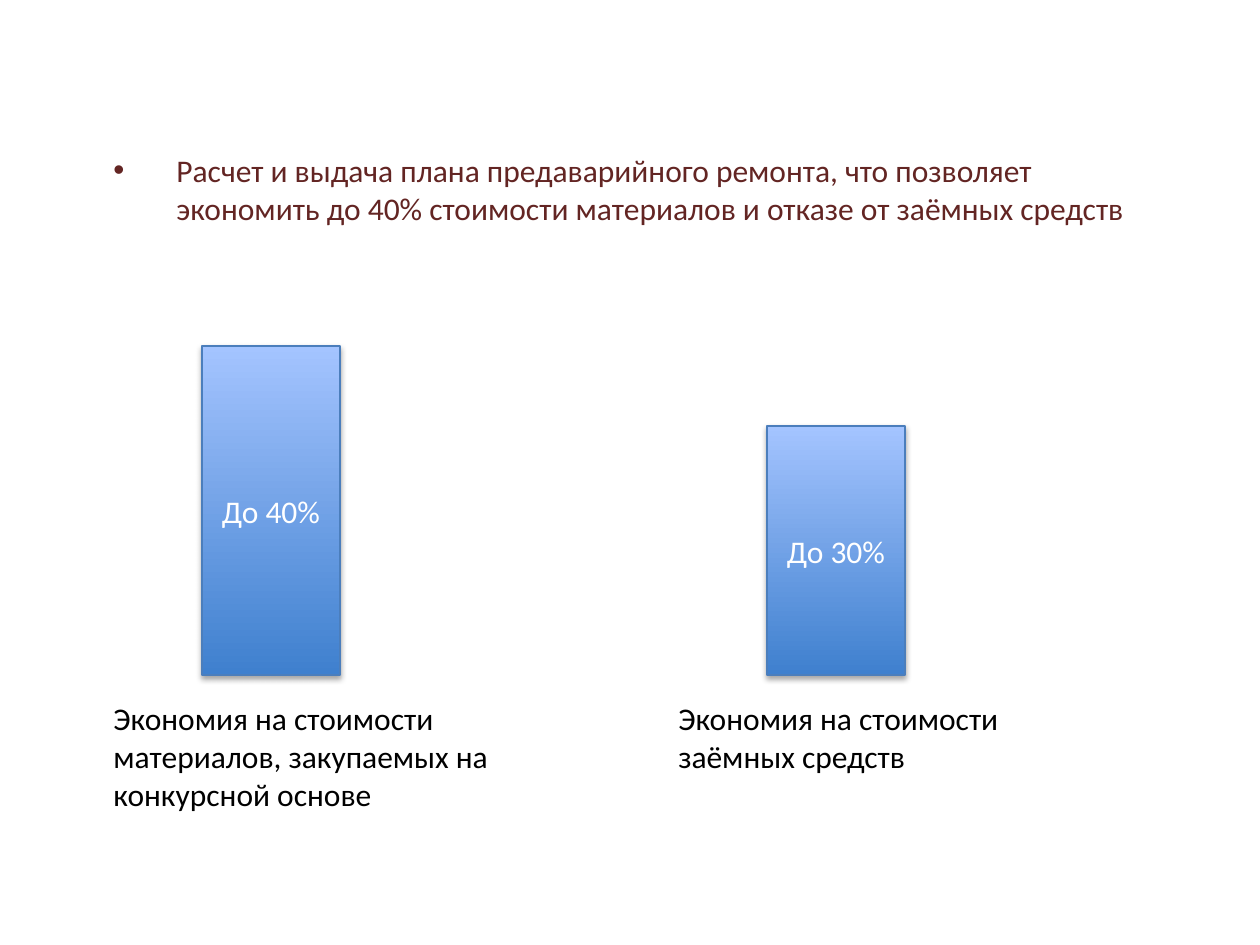
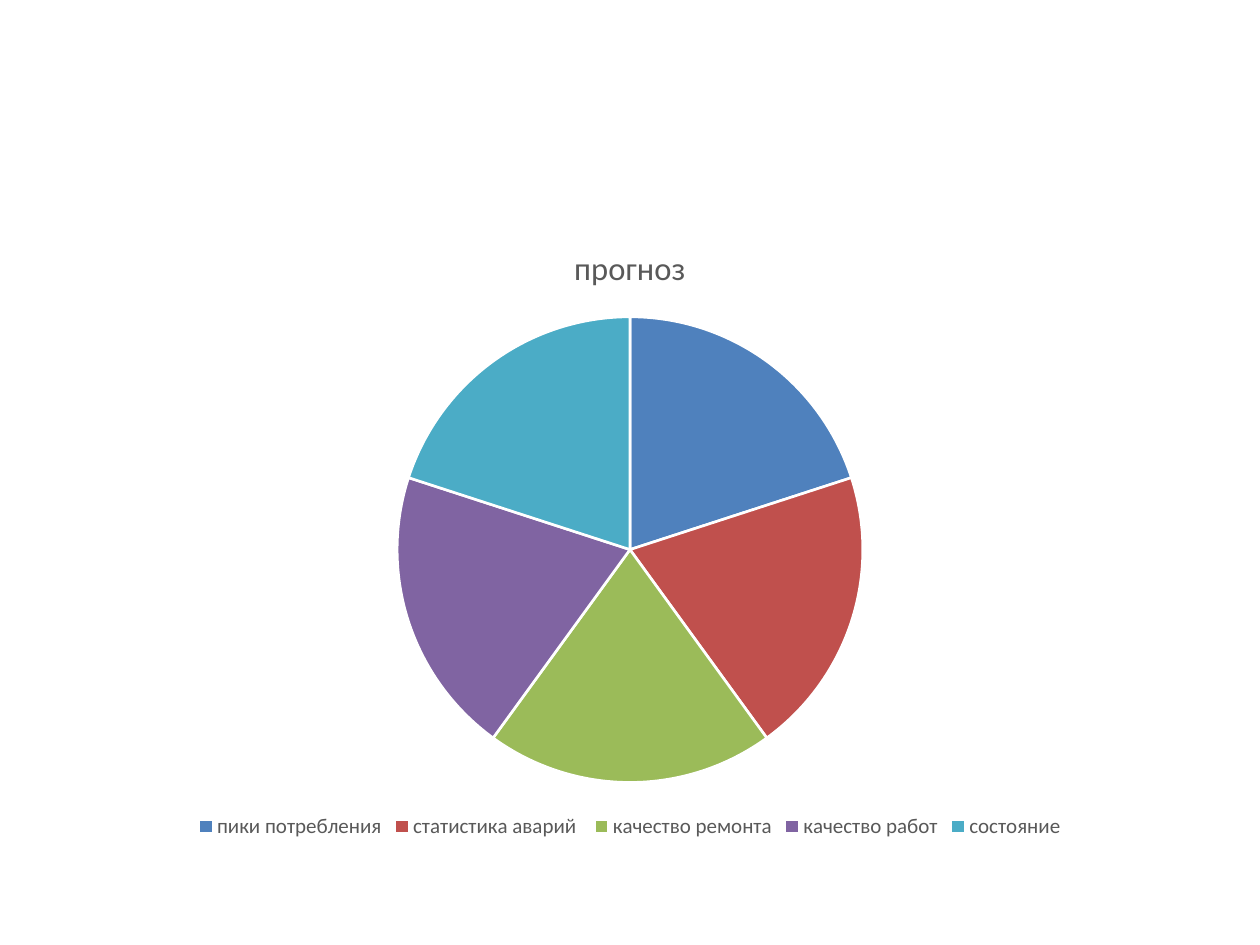
from lxml import etree
from pptx import Presentation
from pptx.chart.data import CategoryChartData
from pptx.dml.color import RGBColor
from pptx.enum.chart import XL_CHART_TYPE, XL_LEGEND_POSITION
from pptx.enum.shapes import MSO_SHAPE
from pptx.enum.text import MSO_ANCHOR, PP_ALIGN
from pptx.oxml import parse_xml
from pptx.oxml.ns import nsdecls, qn
from pptx.util import Emu, Pt

# Content
STATEMENT = ("Расчет и выдача плана предаварийного ремонта, что позволяет "
             "экономить до 40% стоимости материалов и отказе от заёмных средств")
SAVINGS = [  # bar label, bar height, caption, caption height
    ("До 40%", 329, "Экономия на стоимости материалов, закупаемых на конкурсной основе", 127),
    ("До 30%", 249, "Экономия на стоимости заёмных средств", 89),
]
FORECAST_TITLE = "прогноз"
FORECAST = [  # factor, share, colour
    ("пики потребления", 20, "blue"),
    ("статистика аварий ", 20, "red"),
    ("качество ремонта", 20, "green"),
    ("качество работ", 20, "purple"),
    ("состояние", 20, "teal"),
]

# Shared look
COLOURS = {
    "maroon": "632523", "black": "000000", "white": "FFFFFF", "grey": "595959",
    "bar_bottom": "3F80CE", "bar_top": "A4C4FF", "bar_line": "4B7EBC",
    "blue": "4F81BD", "red": "C0504D", "green": "9BBB59",
    "purple": "8064A2", "teal": "4BACC6",
}
FONT = "Calibri"
PX = 914400 // 126

# Layout in px
SLIDE_SIZE = (1260, 945)
STATEMENT_BOX = (101, 145, 1068, 127)
BULLET_INDENT = 63
COLUMN_LEFT, COLUMN_STEP, COLUMN_WIDTH = 101, 565, 410
BAR_OFFSET, BAR_WIDTH, BAR_BASE = 101, 138, 675
CAPTION_TOP = 693
CHART_BOX = (63, 220, 1134, 624)


def px(*lengths):
    return [Emu(length * PX) for length in lengths]


def rgb(name):
    return RGBColor.from_string(COLOURS[name])


def style_font(font, size, colour):
    for attribute, value in {"name": FONT, "size": Pt(size), "bold": False}.items():
        setattr(font, attribute, value)
    font.color.rgb = rgb(colour)


def write(shape, text, colour):
    shape.text_frame.word_wrap = True
    paragraph = shape.text_frame.paragraphs[0]
    run = paragraph.add_run()
    run.text = text
    style_font(run.font, 18, colour)
    return paragraph


def add_text(slide, box, text, colour):
    return write(slide.shapes.add_textbox(*px(*box)), text, colour)


def add_bullet(paragraph):
    properties = paragraph._p.get_or_add_pPr()
    indent = BULLET_INDENT * PX
    properties.set("marL", str(indent))
    properties.set("indent", str(-indent))
    etree.SubElement(properties, qn("a:buFont")).set("typeface", "Arial")
    etree.SubElement(properties, qn("a:buChar")).set("char", "•")


def add_shadow(shape):
    shape._element.spPr.append(parse_xml(
        f'<a:effectLst {nsdecls("a")}>'
        '<a:outerShdw blurRad="40000" dist="23000" dir="5400000" rotWithShape="0">'
        f'<a:srgbClr val="{COLOURS["black"]}"><a:alpha val="35000"/></a:srgbClr>'
        '</a:outerShdw></a:effectLst>'))


def add_bar(slide, left, height, label):
    box = (left, BAR_BASE - height, BAR_WIDTH, height)
    bar = slide.shapes.add_shape(MSO_SHAPE.RECTANGLE, *px(*box))
    bar.fill.gradient()
    bar.fill.gradient_angle = 90
    for stop, colour in zip(bar.fill.gradient_stops, ("bar_bottom", "bar_top")):
        stop.color.rgb = rgb(colour)
    bar.line.color.rgb = rgb("bar_line")
    bar.line.width = Pt(0.75)
    add_shadow(bar)
    bar.text_frame.vertical_anchor = MSO_ANCHOR.MIDDLE
    write(bar, label, "white").alignment = PP_ALIGN.CENTER


def build_savings(slide):
    add_bullet(add_text(slide, STATEMENT_BOX, STATEMENT, "maroon"))
    for index, (label, height, caption, caption_height) in enumerate(SAVINGS):
        left = COLUMN_LEFT + index * COLUMN_STEP
        add_text(slide, (left, CAPTION_TOP, COLUMN_WIDTH, caption_height), caption, "black")
        add_bar(slide, left + BAR_OFFSET, height, label)


def build_forecast(slide):
    factors, shares, colours = zip(*FORECAST)
    data = CategoryChartData()
    data.categories = factors
    data.add_series(FORECAST_TITLE, shares)
    chart = slide.shapes.add_chart(XL_CHART_TYPE.PIE, *px(*CHART_BOX), data).chart
    style_font(chart.font, 10, "black")

    # Title and legend
    chart.has_title = True
    title = chart.chart_title
    title.include_in_layout = False
    title.text_frame.text = FORECAST_TITLE
    style_font(title.text_frame.paragraphs[0].runs[0].font, 18.6, "grey")
    chart.has_legend = True
    chart.legend.position = XL_LEGEND_POSITION.BOTTOM
    chart.legend.include_in_layout = False
    style_font(chart.legend.font, 12, "grey")

    # Slices
    plot = chart.plots[0]
    plot.vary_by_categories = True
    for index, colour in enumerate(colours):
        slice_format = plot.series[0].points[index].format
        slice_format.fill.solid()
        slice_format.fill.fore_color.rgb = rgb(colour)
        slice_format.line.color.rgb = rgb("white")
        slice_format.line.width = Pt(1.5)


def main():
    presentation = Presentation()
    presentation.slide_width, presentation.slide_height = px(*SLIDE_SIZE)
    blank = presentation.slide_layouts[6]
    for build in (build_savings, build_forecast):
        build(presentation.slides.add_slide(blank))
    presentation.save("out.pptx")


if __name__ == "__main__":
    main()
